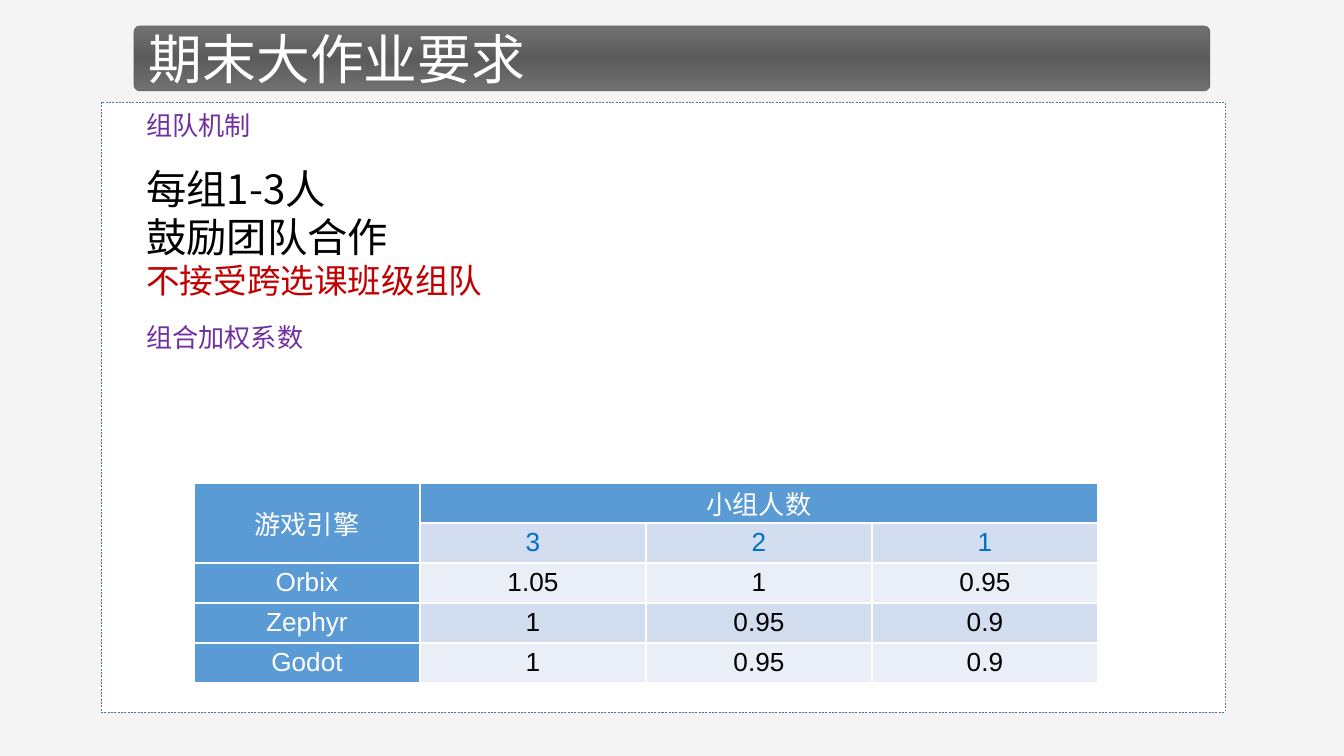
from lxml.etree import SubElement
from pptx import Presentation
from pptx.dml.color import RGBColor as RGB
from pptx.enum.dml import MSO_LINE as Dash
from pptx.enum.shapes import MSO_SHAPE as Kind
from pptx.enum.text import MSO_ANCHOR as Anchor, PP_ALIGN as Align
from pptx.oxml.ns import qn
from pptx.util import Emu, Pt

CJK, SANS = "Noto Sans CJK SC", "Arial"
WHITE, BLACK = RGB(255, 255, 255), RGB(0, 0, 0)
PAGE, EDGE = RGB(0xF4, 0xF4, 0xF4), RGB(0x43, 0x73, 0x9E)
DARK, GREY = RGB(0x5B, 0x5B, 0x5B), RGB(0x71, 0x71, 0x71)
PURPLE, RED = RGB(0x70, 0x30, 0xA0), RGB(0xC0, 0, 0)
HEAD, BLUE = RGB(0x5B, 0x9B, 0xD5), RGB(0, 0x70, 0xC0)
BANDS = RGB(0xD2, 0xDE, 0xEF), RGB(0xEA, 0xEF, 0xF7)

# Content
TITLE = "期末大作业要求"
BODY = [  # text, size, colour, line height px, space before px
    ("组队机制", 14, PURPLE, 32, 0),
    ("每组1-3人", 21.6, BLACK, 48, 24),
    ("鼓励团队合作", 21.6, BLACK, 48, 0),
    ("不接受跨选课班级组队", 18, RED, 40, 0),
    ("组合加权系数", 14, PURPLE, 32, 20),
]
ROWS = [
    ("游戏引擎", "小组人数", "", ""),
    ("", "3", "2", "1"),
    ("Orbix", "1.05", "1", "0.95"),
    ("Zephyr", "1", "0.95", "0.9"),
    ("Godot", "1", "0.95", "0.9"),
]
COL, ROW = 226, 40


def px(n):
    return Emu(round(n * 914400 / 134.4))


def box(*nums):
    return [px(n) for n in nums]


def style(para, text, size, color, face=CJK):
    para.text = text
    font = para.font
    font.size, font.name = Pt(size), face
    font.color.rgb = color
    SubElement(font._element, qn("a:ea"), typeface=CJK)


def border(cell):
    props = cell._tc.get_or_add_tcPr()
    for i, side in enumerate(("lnL", "lnR", "lnT", "lnB")):
        line = SubElement(props, qn("a:" + side), w=str(Pt(1)))
        fill = SubElement(line, qn("a:solidFill"))
        SubElement(fill, qn("a:srgbClr"), val=str(WHITE))
        props.remove(line)
        props.insert(i, line)


deck = Presentation()
deck.slide_width, deck.slide_height = box(1344, 756)
slide = deck.slides.add_slide(deck.slide_layouts[6])
slide.background.fill.solid()
slide.background.fill.fore_color.rgb = PAGE
shapes = slide.shapes

# White panel
panel = shapes.add_shape(Kind.RECTANGLE, *box(101, 102, 1124, 610))
panel.shadow.inherit = False
panel.fill.solid()
panel.fill.fore_color.rgb = WHITE
panel.line.color.rgb = EDGE
panel.line.width = Pt(0.25)
panel.line.dash_style = Dash.DASH

# Body text
frame = shapes.add_textbox(*box(133, 102, 1100, 610)).text_frame
frame.word_wrap = True
for i, (text, size, color, high, gap) in enumerate(BODY):
    para = frame.add_paragraph() if i else frame.paragraphs[0]
    para.line_spacing, para.space_before = px(high), px(gap)
    style(para, text, size, color)

# Title bar
bar = shapes.add_shape(Kind.ROUNDED_RECTANGLE, *box(134, 26, 1076, 65))
bar.shadow.inherit = False
bar.adjustments[0] = 0.09
bar.fill.gradient()
bar.fill.gradient_angle = 90
stops = bar.fill._fill._gradFill.gsLst
stops.clear()
for pos, color in ((0, GREY), (50, DARK), (100, GREY)):
    stop = SubElement(stops, qn("a:gs"), pos=str(pos * 1000))
    SubElement(stop, qn("a:srgbClr"), val=str(color))
bar.line.color.rgb = DARK
bar.line.width = Pt(0.25)
bar.text_frame.vertical_anchor = Anchor.MIDDLE
para = bar.text_frame.paragraphs[0]
para.alignment = Align.LEFT
style(para, TITLE, 28.8, WHITE)

# Weight table
wide, high = len(ROWS[0]), len(ROWS)
table = shapes.add_table(
    high, wide, *box(194, 483, wide * COL, high * ROW)).table
for col in table.columns:
    col.width = px(COL)
for row in table.rows:
    row.height = px(ROW)
for r, row in enumerate(ROWS):
    for c, text in enumerate(row):
        cell = table.cell(r, c)
        head = r == 0 or c == 0
        cell.fill.solid()
        cell.fill.fore_color.rgb = HEAD if head else BANDS[(r - 1) % 2]
        cell.vertical_anchor = Anchor.MIDDLE
        cell.margin_left = cell.margin_right = px(9)
        cell.margin_top = cell.margin_bottom = 0
        border(cell)
        para = cell.text_frame.paragraphs[0]
        para.alignment = Align.CENTER
        color = WHITE if head else BLUE if r == 1 else BLACK
        style(para, text, 14, color, SANS)
table.cell(0, 0).merge(table.cell(1, 0))
table.cell(0, 1).merge(table.cell(0, wide - 1))

deck.save("out.pptx")
